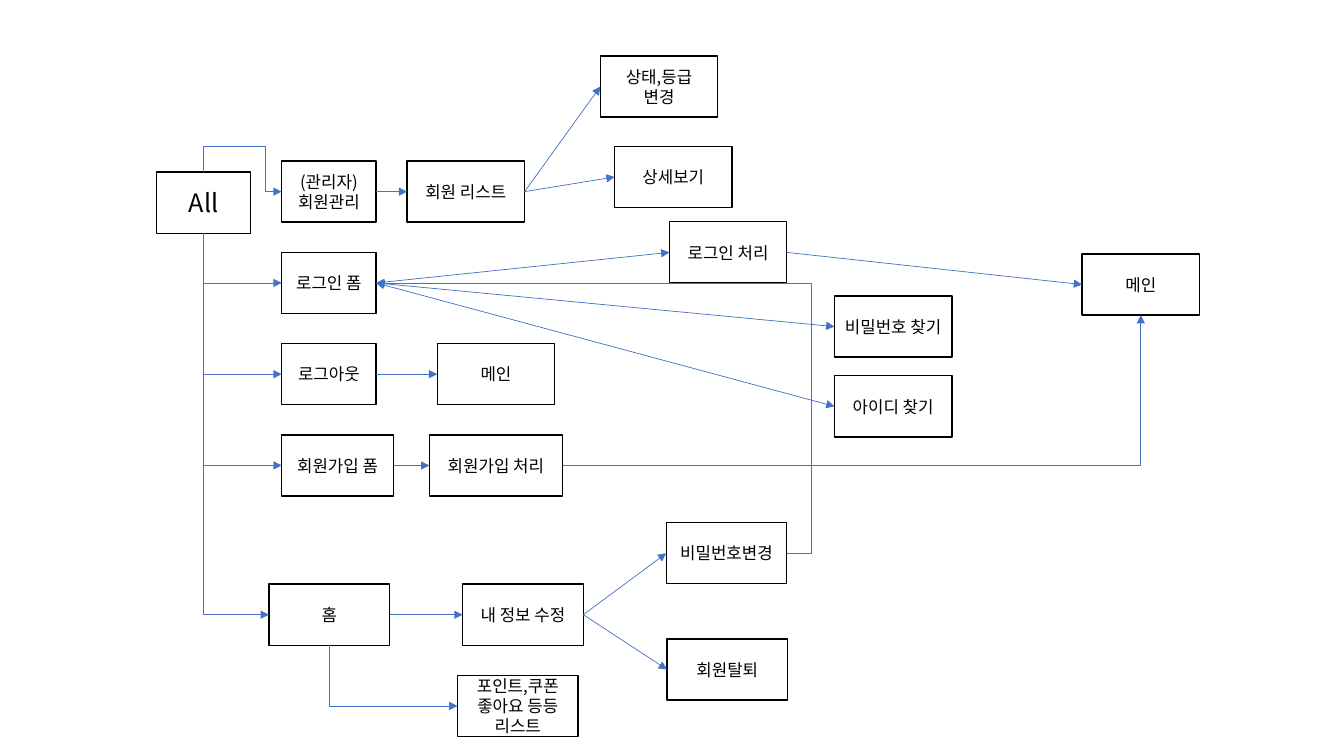
from dataclasses import dataclass

from pptx import Presentation
from pptx import util as u
from pptx.dml.color import RGBColor
from pptx.enum import shapes, text
from pptx.oxml import ns, xmlchemy

FONT = "Noto Sans CJK KR"
BLACK, WHITE, BLUE = "000000", "FFFFFF", "4472C4"
BOX_HEIGHT = 1.54
TOP, LEFT, BOTTOM, RIGHT = range(4)
MENU_X, MENU_Y, MENU_STEP = 7.1, 4.06, 2.3
SMALL, MEDIUM, WIDE = 2.38, 2.96, 3.04
HOME_Y = 14.72


@dataclass
class Box:
    key: str
    label: str
    x: float
    y: float
    width: float = MEDIUM
    size: int = 12


@dataclass
class Link:
    start: str
    end: str
    start_side: int = RIGHT
    end_side: int = LEFT
    bend: str = ""
    adjust: tuple[int, ...] = ()
    turned: bool = False
    both_ways: bool = False


def menu_row(i: int) -> float:
    return MENU_Y + i * MENU_STEP


BOXES = [
    Box("all", "All", 3.94, 4.34, SMALL, 18),
    Box("admin", "(관리자) 회원관리", MENU_X, menu_row(0), SMALL),
    Box("login", "로그인 폼", MENU_X, menu_row(1), SMALL),
    Box("logout", "로그아웃", MENU_X, menu_row(2), SMALL),
    Box("join", "회원가입 폼", MENU_X, menu_row(3), 2.82),
    Box("members", "회원 리스트", 10.26, menu_row(0)),
    Box("logout_main", "메인", 11.02, menu_row(2)),
    Box("join_process", "회원가입 처리", 10.82, menu_row(3), 3.36),
    Box("status", "상태,등급\n변경", 15.13, 1.41),
    Box("detail", "상세보기", 15.49, 3.69),
    Box("login_process", "로그인 처리", 16.87, 5.59),
    Box("main", "메인", 27.27, 6.4),
    Box("find_password", "비밀번호 찾기", 21.03, 7.46),
    Box("find_id", "아이디 찾기", 21.03, 9.47),
    Box("home", "홈", 6.78, HOME_Y, WIDE),
    Box("my_info", "내 정보 수정", 11.66, HOME_Y, WIDE),
    Box("change_password", "비밀번호변경", 16.79, 13.17, WIDE),
    Box("leave", "회원탈퇴", 16.81, 16.1, WIDE),
    Box("points", "포인트,쿠폰 좋아요 등등 리스트", 11.53, 17.02, WIDE),
]

LINKS = [
    Link("all", "admin", TOP, LEFT, "bentConnector4", (-131200, 79700), True),
    *(Link("all", key, BOTTOM, LEFT, "bentConnector2", turned=True)
      for key in ("login", "logout", "join", "home")),
    Link("home", "points", BOTTOM, LEFT, "bentConnector2", turned=True),
    Link("join_process", "main", RIGHT, BOTTOM, "bentConnector2"),
    Link("change_password", "login", RIGHT, RIGHT, "bentConnector3", (-6100,)),
    Link("admin", "members"),
    Link("members", "status"),
    Link("members", "detail"),
    Link("login", "login_process"),
    Link("login_process", "main"),
    Link("login", "find_password", both_ways=True),
    Link("login", "find_id", both_ways=True),
    Link("logout", "logout_main"),
    Link("join", "join_process"),
    Link("home", "my_info"),
    Link("my_info", "change_password"),
    Link("my_info", "leave"),
]


def color(value: str) -> RGBColor:
    return RGBColor.from_string(value)


def add_child(parent: xmlchemy.BaseOxmlElement, tag: str, **attrs: str) -> None:
    child = parent.makeelement(ns.qn(tag), attrs)
    parent.append(child)


def draw_box(slide, box: Box):
    sp = slide.shapes.add_shape(
        shapes.MSO_SHAPE.RECTANGLE,
        u.Cm(box.x), u.Cm(box.y), u.Cm(box.width), u.Cm(BOX_HEIGHT))
    sp.shadow.inherit = False
    sp.fill.solid()
    sp.fill.fore_color.rgb = color(WHITE)
    sp.line.color.rgb = color(BLACK)
    sp.line.width = u.Pt(1)
    tf = sp.text_frame
    tf.word_wrap = True
    tf.vertical_anchor = text.MSO_ANCHOR.MIDDLE
    for i, line in enumerate(box.label.split("\n")):
        p = tf.add_paragraph() if i else tf.paragraphs[0]
        p.alignment = text.PP_ALIGN.CENTER
        r = p.add_run()
        r.text = line
        r.font.size = u.Pt(box.size)
        r.font.name = FONT
        r.font.color.rgb = color(BLACK)
        add_child(r.font._element, "a:ea", typeface=FONT)
    return sp


def bend_connector(c, link: Link) -> None:
    geom = c._element.spPr.find(ns.qn("a:prstGeom"))
    geom.set("prst", link.bend)
    for child in list(geom):
        geom.remove(child)
    add_child(geom, "a:avLst")
    for i, value in enumerate(link.adjust, 1):
        add_child(geom[0], "a:gd", name=f"adj{i}", fmla=f"val {value}")
    if link.turned:
        shift = (c.width - c.height) // 2
        c.left, c.top = c.left + shift, c.top - shift
        c.width, c.height = c.height, c.width
        xfrm = c._element.spPr.find(ns.qn("a:xfrm"))
        xfrm.set("rot", "16200000")
        xfrm.set("flipH", "1")


def draw_link(slide, link: Link, boxes: dict) -> None:
    kind = shapes.MSO_CONNECTOR.ELBOW if link.bend else shapes.MSO_CONNECTOR.STRAIGHT
    c = slide.shapes.add_connector(kind, 0, 0, 0, 0)
    c.begin_connect(boxes[link.start], link.start_side)
    c.end_connect(boxes[link.end], link.end_side)
    if link.bend:
        bend_connector(c, link)
    c.line.color.rgb = color(BLUE)
    c.line.width = u.Pt(0.5)
    ln = c.line._get_or_add_ln()
    if link.both_ways:
        add_child(ln, "a:headEnd", type="triangle")
    add_child(ln, "a:tailEnd", type="triangle")
    add_child(c._element.spPr, "a:effectLst")


def main() -> None:
    prs = Presentation()
    prs.slide_width, prs.slide_height = u.Cm(33.87), u.Cm(19.05)
    slide = prs.slides.add_slide(prs.slide_layouts[6])
    boxes = {box.key: draw_box(slide, box) for box in BOXES}
    for link in LINKS:
        draw_link(slide, link, boxes)
    prs.save("out.pptx")


if __name__ == "__main__":
    main()
